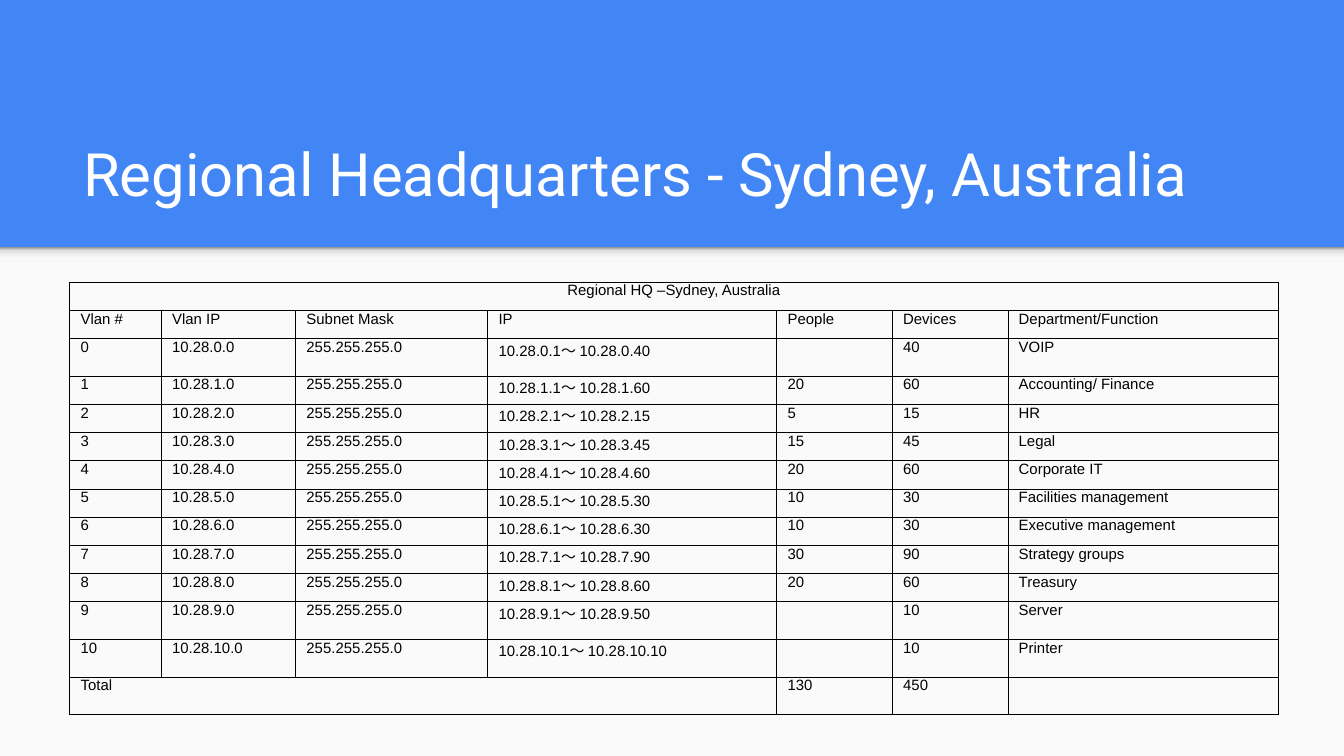
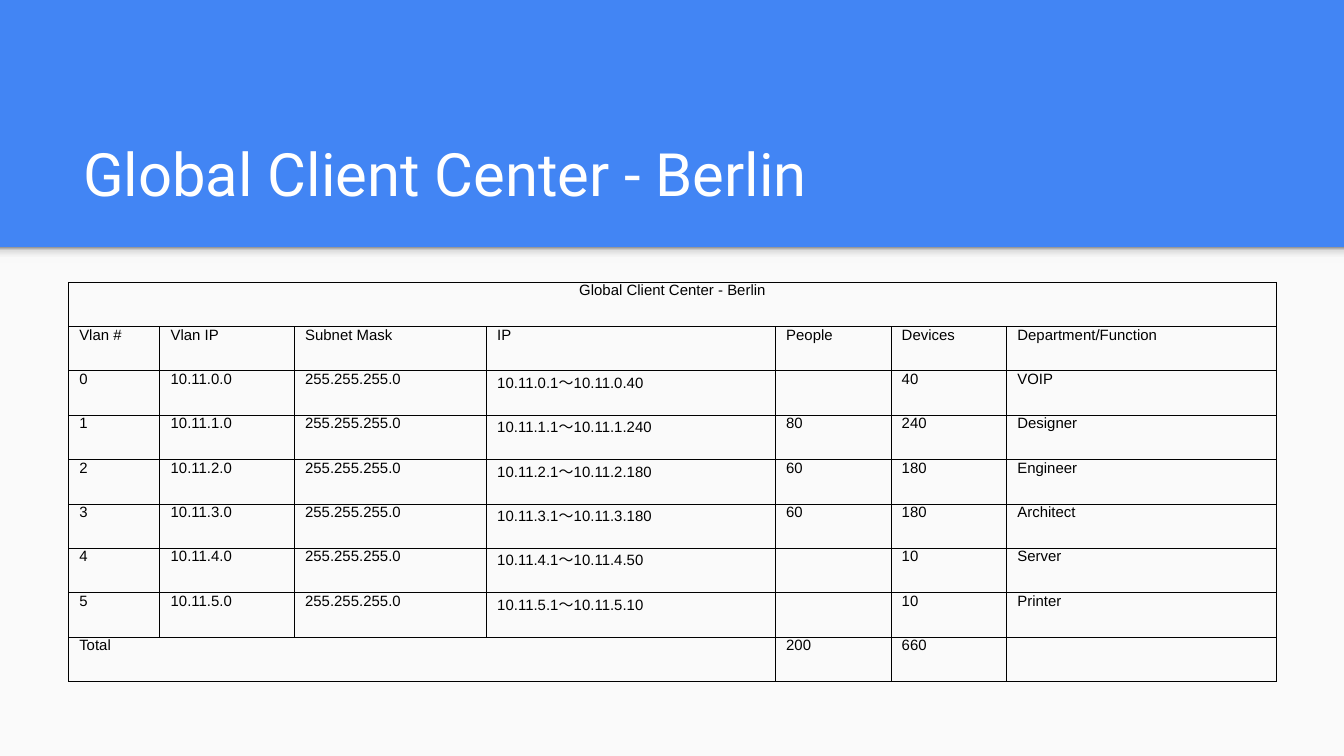
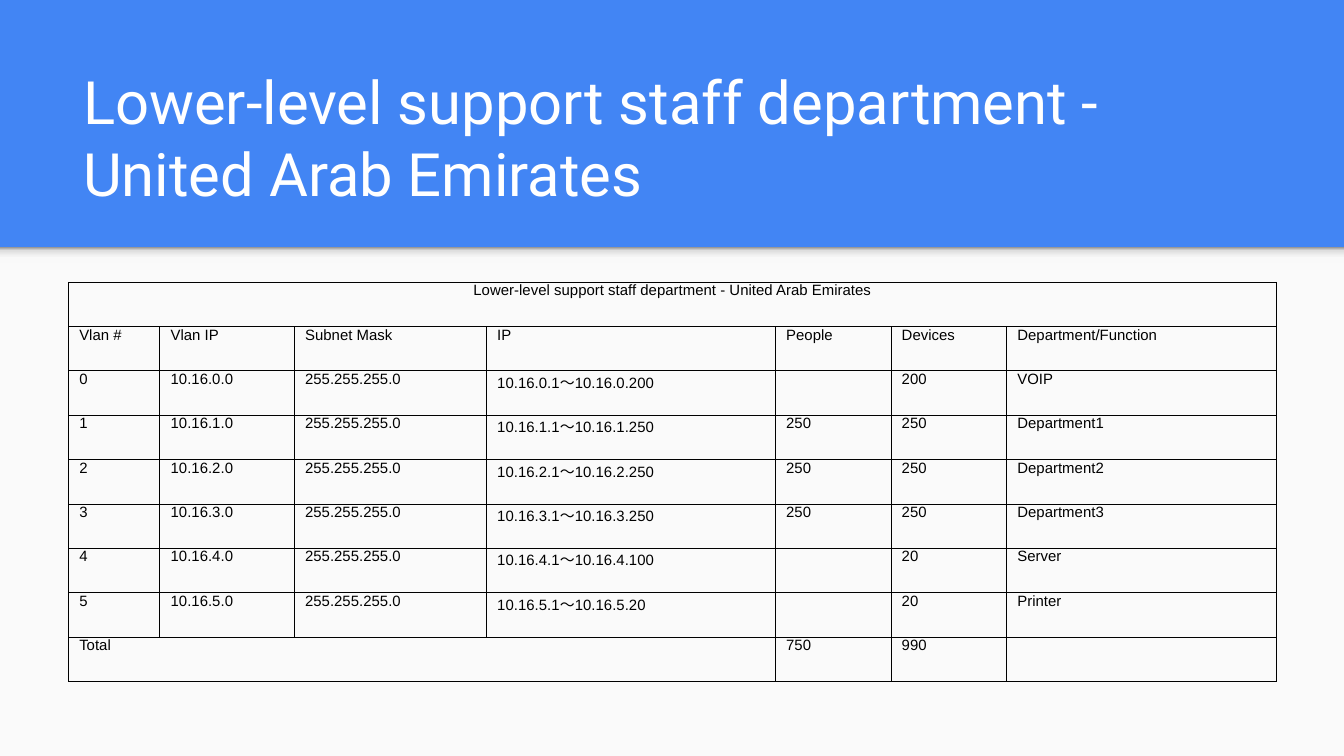
from lxml.etree import SubElement
from pptx import Presentation
from pptx.dml.color import RGBColor
from pptx.enum.shapes import MSO_SHAPE
from pptx.enum.text import MSO_ANCHOR, PP_ALIGN
from pptx.oxml.ns import qn
from pptx.util import Inches, Pt

COLORS = {"blue": "4285F4", "paper": "FAFAFA", "white": "FFFFFF", "black": "000000",
          "shade_light": "F9F9F9", "shade_mid": "DEDEDE", "shade_dark": "999999"}
TITLE_FONT, TABLE_FONT = "Roboto", "Arial"
WIDTH = 10
HEIGHT = WIDTH * 9 / 16
BAND_BOTTOM = 1.84
COLUMNS = {"Vlan #": 0.68, "Vlan IP": 1, "Subnet Mask ": 1.43, "IP": 2.15,
           "People": 0.86, "Devices": 0.86, "Department/Function": 2.01}


def color(name):
    return RGBColor.from_string(COLORS[name])


def add_run(p, text, font, size, name):
    r = p.add_run()
    r.text = text
    r.font.name, r.font.size = font, Pt(size)
    r.font.color.rgb = color(name)


def add_rect(s, x, y, w, h):
    sp = s.shapes.add_shape(MSO_SHAPE.RECTANGLE, Inches(x), Inches(y), Inches(w), Inches(h))
    sp.shadow.inherit = False
    sp.line.fill.background()
    return sp


def add_backdrop(s):
    """Blue slide, light lower panel and the soft shade under the band."""
    s.background.fill.solid()
    s.background.fill.fore_color.rgb = color("blue")
    panel = add_rect(s, 0, BAND_BOTTOM, WIDTH, HEIGHT - BAND_BOTTOM)
    panel.fill.solid()
    panel.fill.fore_color.rgb = color("paper")

    shade = add_rect(s, 0, BAND_BOTTOM, WIDTH, 0.12)
    shade.fill.gradient()
    shade.fill.gradient_angle = 90
    stops = shade._element.spPr.find(".//" + qn("a:gsLst"))
    for stop in list(stops):
        stops.remove(stop)
    for pos, name in ((0, "shade_light"), (36, "shade_light"),
                      (80, "shade_mid"), (100, "shade_dark")):
        stop = SubElement(stops, qn("a:gs"), pos=str(pos * 1000))
        SubElement(stop, qn("a:srgbClr"), val=COLORS[name])


def add_title(s, text, x, y, w, h):
    tf = s.shapes.add_textbox(Inches(x), Inches(y), Inches(w), Inches(h)).text_frame
    tf.word_wrap = True
    tf.vertical_anchor = MSO_ANCHOR.BOTTOM
    tf.margin_left = tf.margin_right = tf.margin_top = tf.margin_bottom = Inches(0.1)
    add_run(tf.paragraphs[0], text, TITLE_FONT, 32, "white")


def style_cell(cell, text):
    cell.margin_left = cell.margin_right = Inches(0.08)
    cell.margin_top = cell.margin_bottom = 0
    # Borders come before the fill in the cell properties
    tcPr = cell._tc.get_or_add_tcPr()
    for side in ("lnL", "lnR", "lnT", "lnB"):
        ln = SubElement(tcPr, qn("a:" + side), w=str(Pt(0.5)))
        SubElement(SubElement(ln, qn("a:solidFill")), qn("a:srgbClr"), val=COLORS["black"])
    cell.fill.background()
    p = cell.text_frame.paragraphs[0]
    if text:
        add_run(p, text, TABLE_FONT, 8, "black")
    else:
        SubElement(p._p, qn("a:endParaRPr"), sz="800")


def vlan_rows(caption, site, gap, vlans, totals):
    """Table texts; a VLAN's last host equals its device count unless given."""
    rows = [[caption] + [""] * 6, list(COLUMNS)]
    for i, (people, devices, department, *last) in enumerate(vlans):
        net = f"10.{site}.{i}"
        host = last[0] if last else devices
        rows.append([str(i), f"{net}.0", "255.255.255.0", f"{net}.1～{gap}{net}.{host}",
                     str(people), str(devices), department])
    rows.append(["Total", "", "", "", *map(str, totals), ""])
    return rows


def add_vlan_table(s, rows, x, y, row_h, open_row_h):
    """VLAN table; rows with an empty people or department cell use open_row_h."""
    heights = [open_row_h if i > 1 and not (row[4] and row[6]) else row_h
               for i, row in enumerate(rows)]
    frame = s.shapes.add_table(len(rows), len(COLUMNS), Inches(x), Inches(y),
                               Inches(sum(COLUMNS.values())), Inches(sum(heights)))
    table = frame.table
    table.first_row = table.horz_banding = False
    for column, w in zip(table.columns, COLUMNS.values()):
        column.width = Inches(w)
    for i, (row, h) in enumerate(zip(rows, heights)):
        table.rows[i].height = Inches(h)
        for j, text in enumerate(row):
            style_cell(table.cell(i, j), text)
    # Caption across the table, total across the address columns
    last = len(rows) - 1
    table.cell(0, 0).merge(table.cell(0, len(COLUMNS) - 1))
    table.cell(0, 0).text_frame.paragraphs[0].alignment = PP_ALIGN.CENTER
    table.cell(last, 0).merge(table.cell(last, 3))


def add_site_slide(prs, title, rows, x, row_h, open_row_h):
    s = prs.slides.add_slide(prs.slide_layouts[6])
    add_backdrop(s)
    add_title(s, title, 0.52, 0.81, 8.99, 0.84)
    add_vlan_table(s, rows, x, 2.1, row_h, open_row_h)


prs = Presentation()
prs.slide_width, prs.slide_height = Inches(WIDTH), Inches(HEIGHT)

# Sydney
sydney = [("", 40, "VOIP"), (20, 60, "Accounting/ Finance"), (5, 15, "HR"),
          (15, 45, "Legal"), (20, 60, "Corporate IT"), (10, 30, "Facilities management"),
          (10, 30, "Executive management"), (30, 90, "Strategy groups"),
          (20, 60, "Treasury"), ("", 10, "Server", 50), ("", 10, "Printer")]
add_site_slide(prs, "Regional Headquarters - Sydney, Australia",
               vlan_rows("Regional HQ –Sydney, Australia", 28, " ", sydney, (130, 450)),
               0.52, 0.21, 0.28)

# Berlin
berlin = [("", 40, "VOIP"), (80, 240, "Designer"), (60, 180, "Engineer"),
          (60, 180, "Architect"), ("", 10, "Server", 50), ("", 10, "Printer")]
title = "Global Client Center - Berlin"
add_site_slide(prs, title, vlan_rows(title, 11, "", berlin, (200, 660)), 0.51, 0.33, 0.33)

# United Arab Emirates
emirates = [("", 200, "VOIP"), *((250, 250, f"Department{n}") for n in (1, 2, 3)),
            ("", 20, "Server", 100), ("", 20, "Printer")]
title = "Lower-level support staff department - United Arab Emirates"
add_site_slide(prs, title, vlan_rows(title, 16, "", emirates, (750, 990)), 0.51, 0.33, 0.33)

prs.save("out.pptx")
